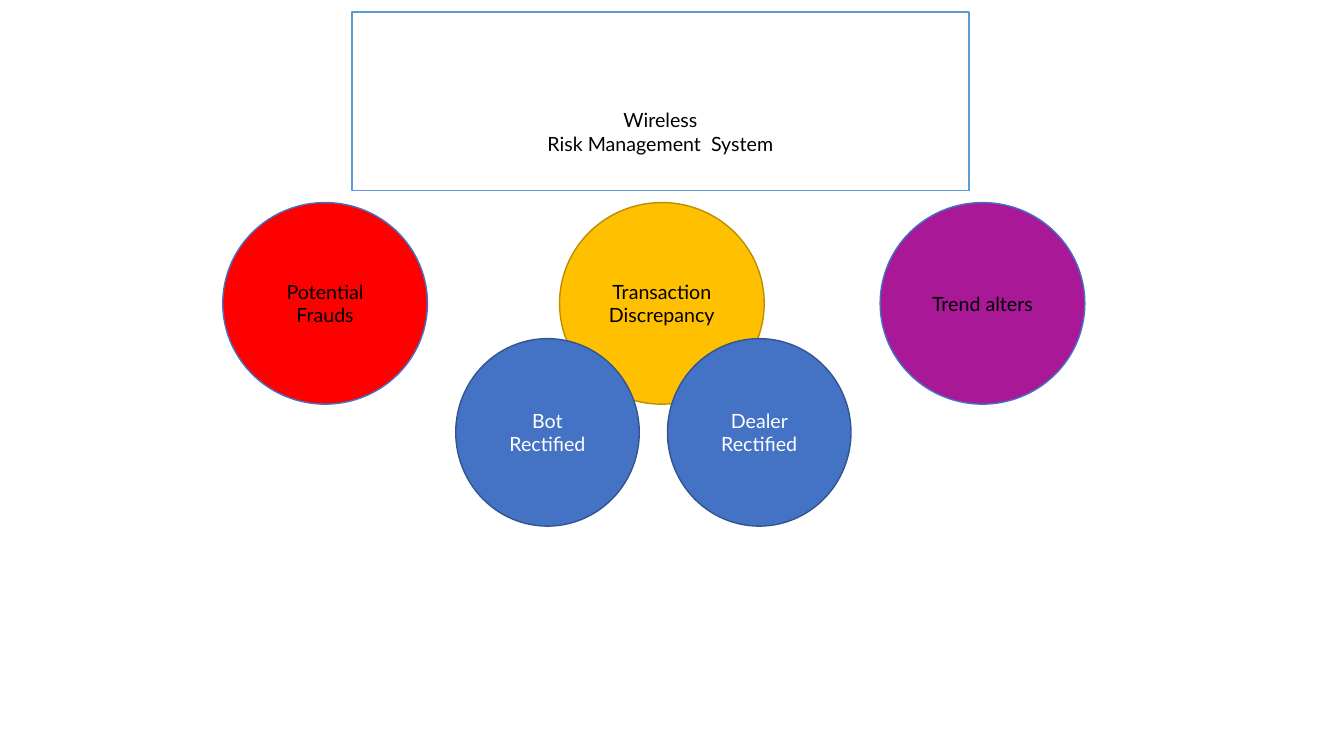
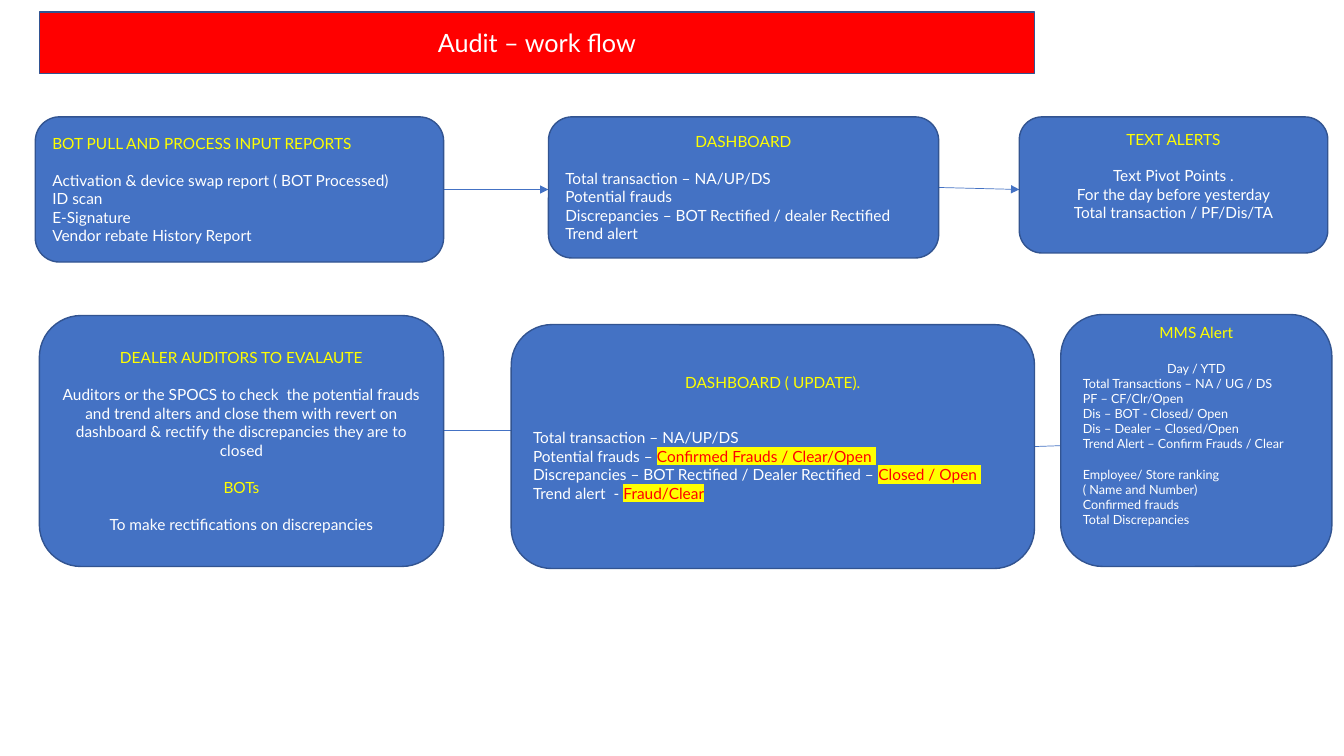
from dataclasses import dataclass

from lxml import etree
from pptx import Presentation
from pptx.dml.color import RGBColor
from pptx.enum.shapes import MSO_CONNECTOR, MSO_SHAPE
from pptx.enum.text import MSO_ANCHOR, MSO_AUTO_SIZE, PP_ALIGN
from pptx.oxml.ns import qn
from pptx.util import Inches, Pt

LEFT, CENTER = PP_ALIGN.LEFT, PP_ALIGN.CENTER
MIDDLE = MSO_ANCHOR.MIDDLE
NO_FIT = MSO_AUTO_SIZE.NONE
STRAIGHT = MSO_CONNECTOR.STRAIGHT
OVAL, ROUNDED = MSO_SHAPE.OVAL, MSO_SHAPE.ROUNDED_RECTANGLE

FONT = "Lato"
TITLE_ONLY = 5
INSET = 0.05
BLANK_LINE = 13.2
COLORS = {
    "white": "FFFFFF",
    "black": "000000",
    "red": "FF0000",
    "yellow": "FFFF00",
    "amber": "FFC000",
    "amber_edge": "BD8E00",
    "purple": "A81897",
    "blue": "4472C4",
    "blue_edge": "325491",
    "sky": "5B9BD5",
}


@dataclass(frozen=True)
class Span:
    text: str
    color: str = "white"
    highlight: str = ""


@dataclass(frozen=True)
class Line:
    spans: tuple[Span, ...]
    size: float = 11
    align: PP_ALIGN = LEFT
    gap: float = 0


@dataclass(frozen=True)
class Box:
    left: float
    top: float
    width: float
    height: float
    lines: tuple[Line, ...]
    fill: str = "blue"
    edge: str = "blue_edge"
    extra_top: float = 0
    extra_bottom: float = 0


@dataclass(frozen=True)
class Arrow:
    x1: float
    y1: float
    x2: float
    y2: float


def plain(text: str, size: float = 11, align: PP_ALIGN = LEFT,
          gap: float = 0, color: str = "white") -> Line:
    return Line((Span(text, color),), size, align, gap)


def heading(text: str, gap: float = 0) -> Line:
    return plain(text, align=CENTER, gap=gap, color="yellow")


def listing(*texts: str, size: float = 11, align: PP_ALIGN = LEFT,
            gap: float = 0) -> tuple[Line, ...]:
    """Return one line per text, with the gap above the first."""
    return tuple(plain(text, size, align, 0 if index else gap)
                 for index, text in enumerate(texts))


def status(label: str, states: str) -> Line:
    return Line((Span(label), Span(states, "red", "yellow")))


def circle(left: float, top: float, width: float, height: float, text: str,
           color: str, fill: str, edge: str) -> Box:
    return Box(left, top, width, height,
               (plain(text, 14, CENTER, color=color),), fill, edge)


def rgb(name: str) -> RGBColor:
    return RGBColor.from_string(COLORS[name])


def write_span(para, span: Span, size: float) -> None:
    run = para.add_run()
    run.text = span.text
    run.font.name = FONT
    run.font.size = Pt(size)
    run.font.color.rgb = rgb(span.color)
    if span.highlight:
        mark = etree.Element(qn("a:highlight"))
        etree.SubElement(mark, qn("a:srgbClr"), val=COLORS[span.highlight])
        run.font.fill  # the fill precedes the highlight in run properties
        run._r.get_or_add_rPr().find(qn("a:latin")).addprevious(mark)


def style_box(shape, box: Box) -> None:
    """Apply fill, outline and text to a shape or a title placeholder."""
    shape.shadow.inherit = False
    shape.fill.solid()
    shape.fill.fore_color.rgb = rgb(box.fill)
    shape.line.color.rgb = rgb(box.edge)
    shape.line.width = Pt(1)
    frame = shape.text_frame
    frame.word_wrap = True
    frame.auto_size = NO_FIT
    frame.vertical_anchor = MIDDLE
    frame.margin_top = Inches(INSET + box.extra_top)
    frame.margin_bottom = Inches(INSET + box.extra_bottom)
    for index, line in enumerate(box.lines):
        para = frame.add_paragraph() if index else frame.paragraphs[0]
        para.alignment = line.align
        para.space_before = Pt(line.gap)
        for span in line.spans:
            write_span(para, span, line.size)


def add_box(page, box: Box, kind: MSO_SHAPE) -> None:
    shape = page.shapes.add_shape(kind, Inches(box.left), Inches(box.top),
                                  Inches(box.width), Inches(box.height))
    style_box(shape, box)


def add_titled_page(deck, box: Box, outline: str):
    """Add a page whose title placeholder has the given preset outline."""
    page = deck.slides.add_slide(deck.slide_layouts[TITLE_ONLY])
    title = page.shapes.title
    title.left, title.top = Inches(box.left), Inches(box.top)
    title.width, title.height = Inches(box.width), Inches(box.height)
    geometry = etree.SubElement(title.element.spPr, qn("a:prstGeom"), prst=outline)
    etree.SubElement(geometry, qn("a:avLst"))
    style_box(title, box)
    return page


def add_arrow(page, arrow: Arrow) -> None:
    connector = page.shapes.add_connector(
        STRAIGHT, Inches(arrow.x1), Inches(arrow.y1),
        Inches(arrow.x2), Inches(arrow.y2))
    connector.line.color.rgb = rgb("blue")
    connector.line.width = Pt(0.5)
    etree.SubElement(connector.line._get_or_add_ln(), qn("a:tailEnd"), type="triangle")
    etree.SubElement(connector.element.spPr, qn("a:effectLst"))


SYSTEM_TITLE = Box(
    3.49, 0.12, 6.12, 1.77,
    (plain("Wireless", 14, CENTER, color="black"),
     plain("Risk Management  System", 14, CENTER, color="black")),
    "white", "sky", extra_top=0.6)

CIRCLES = (
    *(circle(left, 2.01, 2.03, 2, text, "black", fill, edge)
      for left, text, fill, edge in (
          (2.21, "Potential Frauds", "red", "blue"),
          (5.55, "Transaction Discrepancy", "amber", "amber_edge"),
          (8.73, "Trend alters", "purple", "blue"))),
    *(circle(left, 3.36, 1.82, 1.86, text, "white", "blue", "blue_edge")
      for left, text in ((4.52, "Bot Rectified"), (6.62, "Dealer Rectified"))),
)

AUDIT_TITLE = Box(0.39, 0.12, 9.87, 0.61,
                  (plain("Audit – work flow", 18, CENTER),), "red")

STEPS = (
    Box(0.35, 1.16, 4.05, 1.44, (
        plain("BOT PULL AND PROCESS INPUT REPORTS", color="yellow"),
        *listing("Activation & device swap report ( BOT Processed)", "ID scan",
                 "E-Signature", "Vendor rebate History Report", gap=BLANK_LINE))),
    Box(5.44, 1.16, 3.87, 1.4, (
        heading("DASHBOARD"),
        *listing("Total transaction – NA/UP/DS", "Potential frauds",
                 "Discrepancies – BOT Rectified / dealer Rectified",
                 "Trend alert", gap=BLANK_LINE))),
    Box(10.11, 1.16, 3.06, 1.35, (
        heading("TEXT ALERTS"),
        *listing("Text Pivot Points .", "For the day before yesterday",
                 "Total transaction / PF/Dis/TA", align=CENTER, gap=BLANK_LINE)),
        extra_bottom=0.18),
    Box(0.39, 3.13, 4.01, 2.49, (
        heading("DEALER AUDITORS TO EVALAUTE"),
        plain("Auditors or the SPOCS to check  the potential frauds and trend "
              "alters and close them with revert on dashboard & rectify the "
              "discrepancies they are to closed", align=CENTER, gap=BLANK_LINE),
        heading("BOTs", gap=BLANK_LINE),
        plain("To make rectifications on discrepancies", align=CENTER,
              gap=BLANK_LINE))),
    Box(5.07, 3.22, 5.19, 2.42, (
        heading("DASHBOARD ( UPDATE)."),
        plain("Total transaction – NA/UP/DS", gap=2 * BLANK_LINE),
        status("Potential frauds – ", "Confirmed Frauds / Clear/Open "),
        status("Discrepancies – BOT Rectified / Dealer Rectified – ",
               "Closed / Open "),
        status("Trend alert  - ", "Fraud/Clear")),
        extra_bottom=0.18),
    Box(10.52, 3.12, 2.69, 2.5, (
        heading("MMS Alert"),
        plain("Day / YTD", 9, CENTER, BLANK_LINE),
        *listing("Total Transactions – NA / UG / DS", "PF – CF/Clr/Open",
                 "Dis – BOT - Closed/ Open", "Dis – Dealer – Closed/Open",
                 "Trend Alert – Confirm Frauds / Clear", size=9),
        *listing("Employee/ Store ranking", "( Name and Number)",
                 "Confirmed frauds", "Total Discrepancies", size=9, gap=10.8)),
        extra_bottom=0.3),
)

ARROWS = (
    Arrow(4.4, 1.88, 5.44, 1.88),
    Arrow(9.31, 1.86, 10.11, 1.88),
    Arrow(4.4, 4.27, 5.33, 4.27),
    Arrow(10.26, 4.43, 10.86, 4.41),
)


def main() -> None:
    deck = Presentation()
    deck.slide_width, deck.slide_height = Inches(13.33), Inches(7.5)

    system_page = add_titled_page(deck, SYSTEM_TITLE, "roundRect")
    for box in CIRCLES:
        add_box(system_page, box, OVAL)

    audit_page = add_titled_page(deck, AUDIT_TITLE, "rect")
    for arrow in ARROWS:
        add_arrow(audit_page, arrow)
    for box in STEPS:
        add_box(audit_page, box, ROUNDED)

    deck.save("out.pptx")


if __name__ == "__main__":
    main()
